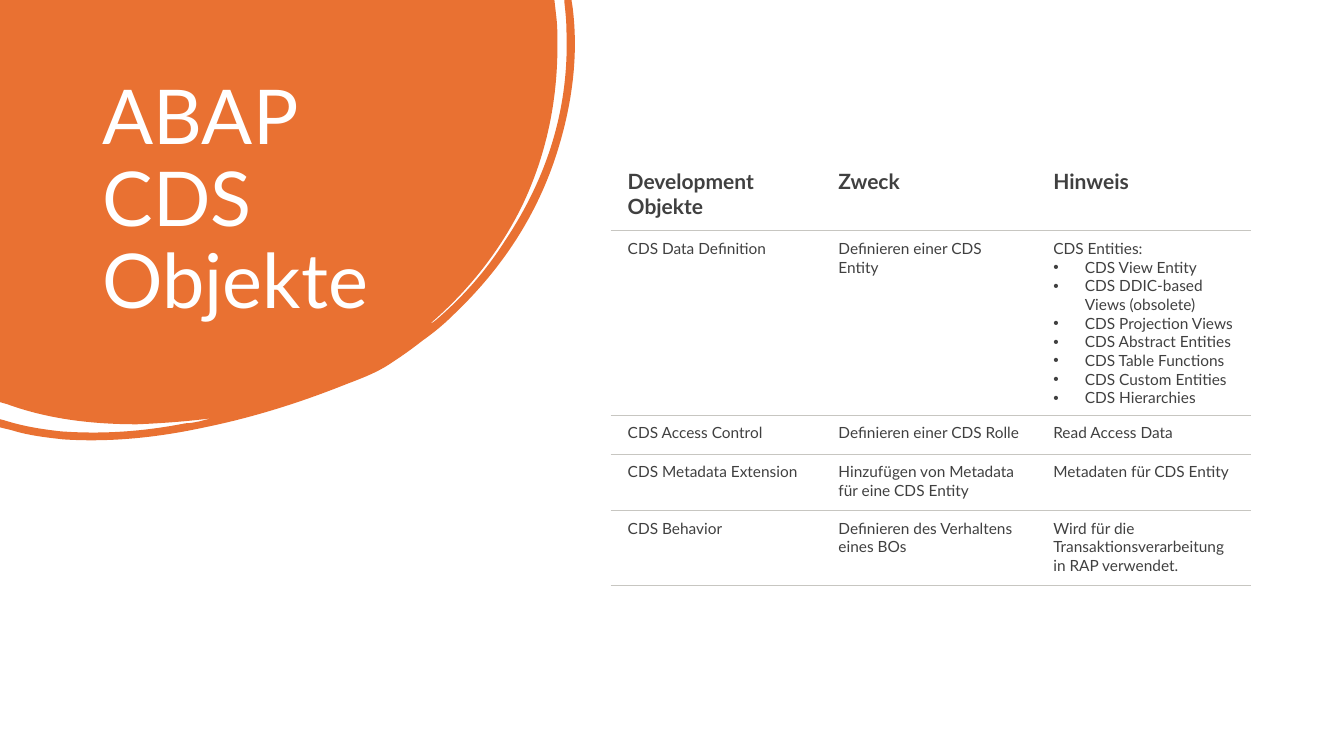
from lxml.etree import SubElement
from pptx import Presentation
from pptx.dml.color import RGBColor
from pptx.enum.text import MSO_ANCHOR
from pptx.oxml.ns import qn
from pptx.util import Pt

ORANGE = RGBColor(0xE9, 0x71, 0x32)
WHITE = RGBColor(0xFF, 0xFF, 0xFF)
DARK = RGBColor(0x40, 0x40, 0x40)
GREY = RGBColor(0xC7, 0xC6, 0xC1)

TITLE = {"name": "Lato", "size": Pt(54)}
HEAD = {"name": "Lato", "size": Pt(15), "bold": True}
BODY = {"name": "Lato", "size": Pt(11), "bold": False}
INSET = {"margin_left": Pt(12.2), "margin_top": Pt(6),
         "margin_right": Pt(9.4), "margin_bottom": Pt(5.8)}

WIDE, HIGH = 411.1, 314.6
BLOB = [
    (0, 0), (396, 0), (397.4, 12.2),
    (398.2, 18.7, 398.2, 25.9, 398.2, 32.4),
    (398.2, 72.7, 390.2, 110.9, 373, 146.9),
    (357.1, 179.3, 334.8, 207.4, 307.4, 231.1),
    (308.9, 231.1, 309.6, 229.7, 311, 229),
    (330.5, 212.4, 347, 193.7, 360.7, 172.1),
    (391, 126.7, 406.8, 77, 404.6, 21.6),
    (404.6, 15.1, 403.9, 8.6, 403.2, 2.2),
    (403.2, 0), (408.2, 0), (409, 5),
    (413.3, 38.9, 409, 73.4, 398.2, 108),
    (383.8, 154.1, 357.8, 193, 322.6, 226.1),
    (316.1, 232.6, 308.9, 238.3, 301.7, 243.4),
    (294.5, 249.1, 287.3, 254.2, 278.6, 259.9),
    (270, 265.7, 259.2, 270, 247.7, 274.3),
    (215.3, 287.3, 181.4, 298.1, 146.2, 305.3),
    (113, 312.5, 79.2, 316.1, 45.4, 313.9),
    (32.4, 312.5, 20.2, 311, 8.6, 307.4),
    (0, 305.3), (0, 299.5), (2.9, 300.2),
    (16.6, 304.6, 30.2, 306.7, 43.9, 308.2),
    (74.2, 310.3, 103, 308.2, 132.5, 302.4),
    (136.1, 302.4, 139, 301.7, 142.6, 301),
    (145.4, 300.2, 148.3, 299.5, 151.2, 298.8),
    (133.9, 301, 115.9, 302.4, 97.9, 303.1),
    (66.2, 303.1, 34.6, 299.5, 5, 288.7),
    (0, 287.3),
]

WIDTHS = [150.5, 153.5, 153.5]
HEIGHTS = [50.4, 131.8, 27.6, 40.3, 53.3]
ROWS = [
    ["Development Objekte", "Zweck", "Hinweis"],
    ["CDS Data Definition", "Definieren einer CDS Entity",
     ["CDS Entities:", "CDS View Entity", "CDS DDIC-based Views (obsolete)",
      "CDS Projection Views", "CDS Abstract Entities", "CDS Table Functions",
      "CDS Custom Entities", "CDS Hierarchies"]],
    ["CDS Access Control", "Definieren einer CDS Rolle", "Read Access Data"],
    ["CDS Metadata Extension", "Hinzufügen von Metadata für eine CDS Entity",
     "Metadaten für CDS Entity"],
    ["CDS Behavior", "Definieren des Verhaltens eines BOs",
     "Wird für die Transaktionsverarbeitung in RAP verwendet."],
]


def apply(item, values):
    for key, value in values.items():
        setattr(item, key, value)


def bend(blob, parts):
    lines = list(blob._element.iter(qn("a:lnTo")))
    outline = lines[0].getparent()
    outline.set("w", str(Pt(WIDE)))
    outline.set("h", str(Pt(HIGH)))
    for line, part in zip(lines, parts[1:]):
        if len(part) == 6:
            curve = SubElement(outline, qn("a:cubicBezTo"))
            for x, y in zip(part[::2], part[1::2]):
                SubElement(curve, qn("a:pt"), x=str(Pt(x)), y=str(Pt(y)))
            outline.replace(line, curve)


def add_blob(slide):
    points = [(Pt(part[-2]), Pt(part[-1])) for part in BLOB]
    pen = slide.shapes.build_freeform(*points[0])
    pen.add_line_segments(points[1:], close=True)
    blob = pen.convert_to_shape()
    bend(blob, BLOB)
    apply(blob, {"width": Pt(WIDE), "height": Pt(HIGH)})
    blob.shadow.inherit = False
    blob.fill.solid()
    blob.fill.fore_color.rgb = ORANGE
    blob.line.fill.background()


def write(para, text, style, color):
    run = para.add_run()
    run.text = text
    apply(run.font, style)
    run.font.color.rgb = color


def add_title(slide):
    box = slide.shapes.add_textbox(Pt(66.2), Pt(53.3), Pt(253.4), Pt(159.8))
    frame = box.text_frame
    apply(frame, {"word_wrap": True, "vertical_anchor": MSO_ANCHOR.TOP})
    para = frame.paragraphs[0]
    para.line_spacing = 0.9
    write(para, "ABAP CDS Objekte", TITLE, WHITE)


def add_bullet(para):
    props = para._p.get_or_add_pPr()
    props.set("marL", str(Pt(22.5)))
    props.set("indent", str(-Pt(22.5)))
    SubElement(props, qn("a:buFont"), typeface="Arial")
    SubElement(props, qn("a:buChar"), char="•")


def add_border(cell, side, color=None):
    line = SubElement(cell._tc.get_or_add_tcPr(), qn("a:" + side), w=str(Pt(0.75)))
    if color is None:
        SubElement(line, qn("a:noFill"))
    else:
        fill = SubElement(line, qn("a:solidFill"))
        SubElement(fill, qn("a:srgbClr"), val=str(color))


def fill_cell(cell, text, first):
    apply(cell, INSET)
    cell.vertical_anchor = MSO_ANCHOR.TOP
    add_border(cell, "lnL")
    add_border(cell, "lnR")
    add_border(cell, "lnT", None if first else GREY)
    add_border(cell, "lnB", GREY)
    cell.fill.background()
    frame = cell.text_frame
    lines = [text] if isinstance(text, str) else text
    for index, line in enumerate(lines):
        para = frame.add_paragraph() if index else frame.paragraphs[0]
        if index:
            add_bullet(para)
        write(para, line, HEAD if first else BODY, DARK)


def add_grid(slide):
    frame = slide.shapes.add_table(
        len(ROWS), len(WIDTHS), Pt(436.2), Pt(114.5),
        Pt(sum(WIDTHS)), Pt(sum(HEIGHTS)))
    table = frame.table
    apply(table, {"first_row": False, "horz_banding": False})
    for column, width in zip(table.columns, WIDTHS):
        column.width = Pt(width)
    for row, height in zip(table.rows, HEIGHTS):
        row.height = Pt(height)
    for r, texts in enumerate(ROWS):
        for c, text in enumerate(texts):
            fill_cell(table.cell(r, c), text, r == 0)


def main():
    deck = Presentation()
    apply(deck, {"slide_width": Pt(960), "slide_height": Pt(540)})
    slide = deck.slides.add_slide(deck.slide_layouts[6])
    add_blob(slide)
    add_title(slide)
    add_grid(slide)
    deck.save("out.pptx")


if __name__ == "__main__":
    main()
